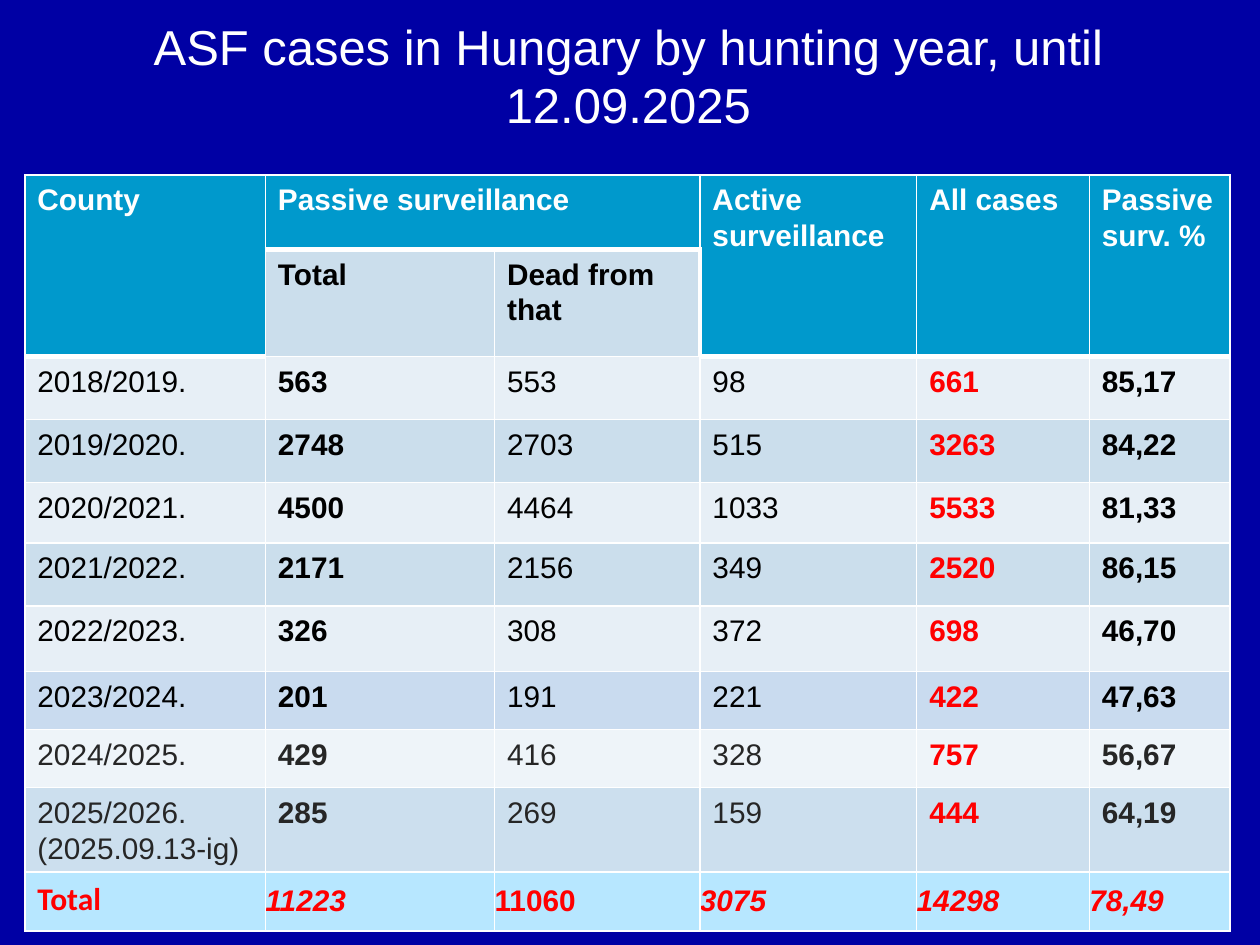
import pptx
import pptx.dml.color
import pptx.enum.text
import pptx.oxml.ns
import pptx.util
from lxml import etree
from pptx.util import Cm, Pt

WHITE, BLACK, RED, GREY = "FFFFFF", "000000", "FF0000", "262626"
HEADER, SUBHEADER, TOTAL = "0099CC", "CBDEEC", "B7E7FF"
COL_WIDTHS = [4.85, 4.62, 4.14, 4.37, 3.48, 2.84]
ROW_HEIGHTS = [1.5, 2.16, 1.27, 1.27, 1.22, 1.27, 1.32, 1.17, 1.17, 1.17, 1.19]
HEADERS = {0: "County", 1: "Passive surveillance", 3: "Active surveillance",
           4: "All cases", 5: "Passive surv. %"}
SUBHEADERS = {1: "Total", 2: "Dead from that"}
# Row fill, text colour, values
YEARS = [
    ("E7EFF6", BLACK, ["2018/2019.", "563", "553", "98", "661", "85,17"]),
    ("CBDEEC", BLACK, ["2019/2020.", "2748", "2703", "515", "3263", "84,22"]),
    ("E7EFF6", BLACK, ["2020/2021.", "4500", "4464", "1033", "5533", "81,33"]),
    ("CBDEEC", BLACK, ["2021/2022.", "2171", "2156", "349", "2520", "86,15"]),
    ("E7EFF6", BLACK, ["2022/2023.", "326", "308", "372", "698", "46,70"]),
    ("C9DBEF", BLACK, ["2023/2024.", "201", "191", "221", "422", "47,63"]),
    ("EEF4F9", GREY, ["2024/2025.", "429", "416", "328", "757", "56,67"]),
    ("CCDFEE", GREY, ["2025/2026. (2025.09.13-ig)", "285", "269", "159", "444", "64,19"]),
]
TOTALS = ["11223", "11060", "3075", "14298", "78,49"]
BOLD_COLS = {1, 4, 5}
CASES_COL = 4


def rgb(hex_color):
    return pptx.dml.color.RGBColor.from_string(hex_color)


def add_run(p, text, size, color, bold=False, italic=False, font="Arial"):
    r = p.add_run()
    r.text = text
    r.font.name, r.font.size = font, Pt(size)
    r.font.bold, r.font.italic = bold, italic
    r.font.color.rgb = rgb(color)


def set_borders(cell, thick=""):
    """Draw white 1 pt borders, 3 pt on the sides named in thick (L, R, T, B)."""
    tc_pr = cell._tc.get_or_add_tcPr()
    for side in "LRTB":
        width = Pt(3 if side in thick else 1)
        ln = etree.SubElement(tc_pr, pptx.oxml.ns.qn(f"a:ln{side}"), w=str(width))
        fill = etree.SubElement(ln, pptx.oxml.ns.qn("a:solidFill"))
        etree.SubElement(fill, pptx.oxml.ns.qn("a:srgbClr"), val=WHITE)


def fill_cell(cell, fill, text, color, thick="", flush=False, size=17, **style):
    """Format a cell; flush drops its margins and centres it vertically."""
    set_borders(cell, thick)
    cell.fill.solid()
    cell.fill.fore_color.rgb = rgb(fill)
    p = cell.text_frame.paragraphs[0]
    if flush:
        cell.margin_left = cell.margin_right = cell.margin_top = cell.margin_bottom = 0
        cell.vertical_anchor = pptx.enum.text.MSO_ANCHOR.MIDDLE
    else:
        p.line_spacing, p.space_after = 1.07, Pt(8)
    add_run(p, text, size, color, **style)


def add_title(s, text):
    sp = s.shapes.title
    sp.left, sp.top, sp.width, sp.height = Cm(0.84), Cm(0), Cm(23.65), Cm(3.02)
    tf = sp.text_frame
    tf.word_wrap = True
    tf.auto_size = pptx.enum.text.MSO_AUTO_SIZE.NONE
    tf.vertical_anchor = pptx.enum.text.MSO_ANCHOR.MIDDLE
    p = tf.paragraphs[0]
    p.alignment = pptx.enum.text.PP_ALIGN.CENTER
    add_run(p, text, 28, WHITE)


def add_grid(s):
    table = s.shapes.add_table(
        len(ROW_HEIGHTS), len(COL_WIDTHS), Cm(0.5), Cm(3.53),
        Cm(sum(COL_WIDTHS)), Cm(sum(ROW_HEIGHTS))).table
    table.first_row = table.horz_banding = False
    for col, width in zip(table.columns, COL_WIDTHS):
        col.width = Cm(width)
    for row, height in zip(table.rows, ROW_HEIGHTS):
        row.height = Cm(height)
    return table


def fill_headers(table):
    table.cell(0, 1).merge(table.cell(0, 2))
    for c, text in HEADERS.items():
        if c != 1:
            table.cell(0, c).merge(table.cell(1, c))
        fill_cell(table.cell(0, c), HEADER, text, WHITE, thick="B", bold=True)
    for c, text in SUBHEADERS.items():
        fill_cell(table.cell(1, c), SUBHEADER, text, BLACK,
                  thick="TR" if c == 2 else "T", bold=True)


def fill_years(table):
    for i, (fill, color, values) in enumerate(YEARS):
        for c, text in enumerate(values):
            under_header = i == 0 and c not in SUBHEADERS
            fill_cell(table.cell(i + 2, c), fill, text,
                      RED if c == CASES_COL else color,
                      thick="T" if under_header else "", bold=c in BOLD_COLS)


def fill_totals(table):
    last = len(ROW_HEIGHTS) - 1
    fill_cell(table.cell(last, 0), TOTAL, "Total", RED, size=18, bold=True, font="Calibri")
    for c, text in enumerate(TOTALS, start=1):
        fill_cell(table.cell(last, c), TOTAL, text, RED, flush=True,
                  bold=True, italic=c != 2)


def main():
    prs = pptx.Presentation()
    prs.slide_width, prs.slide_height = Cm(25.4), Cm(19.05)
    s = prs.slides.add_slide(prs.slide_layouts[5])
    s.background.fill.solid()
    s.background.fill.fore_color.rgb = rgb("0000A4")
    add_title(s, "ASF cases in Hungary by hunting year, until 12.09.2025")
    table = add_grid(s)
    fill_headers(table)
    fill_years(table)
    fill_totals(table)
    prs.save("out.pptx")


if __name__ == "__main__":
    main()
